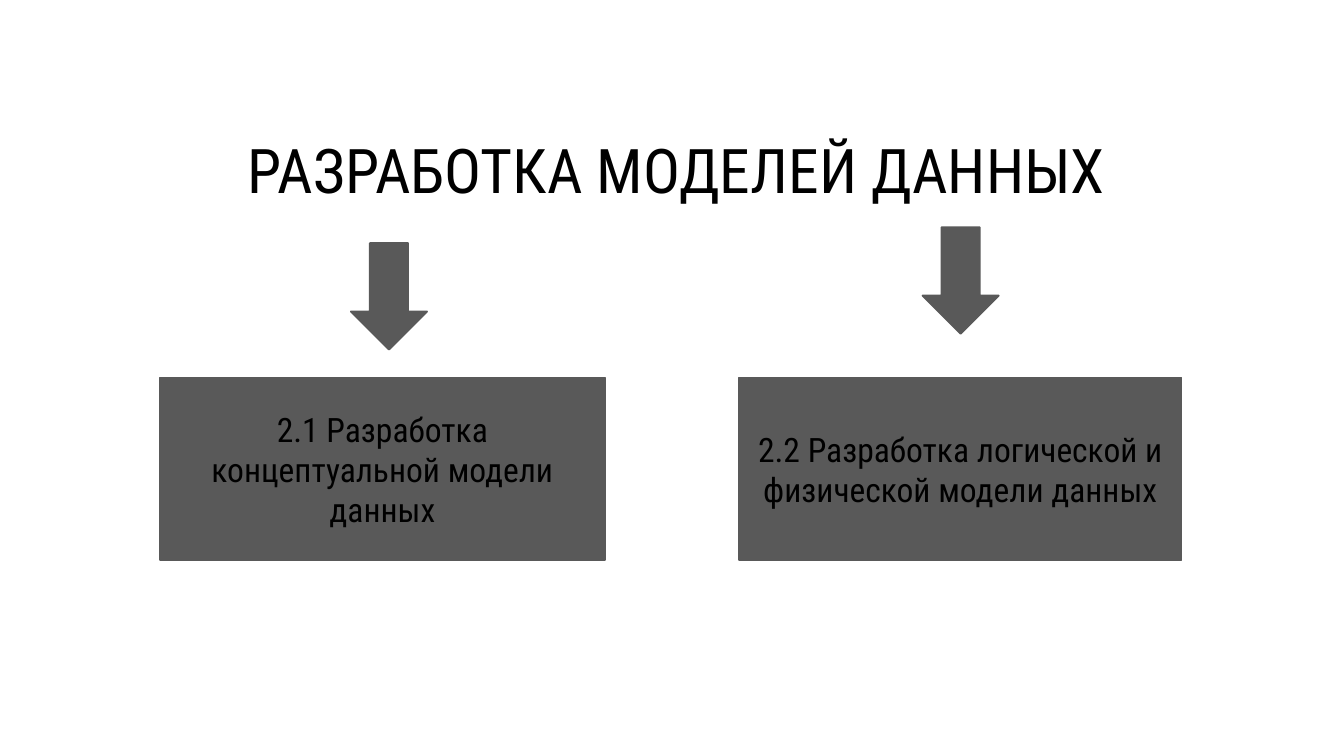
from pptx import Presentation
from pptx.dml.color import RGBColor
from pptx.enum import shapes, text
from pptx.util import Pt

COLORS = {"gray": "595959", "black": "000000"}
FONT = "Roboto Condensed"


def format_run(run, size, font=FONT):
    run.font.size = Pt(size)
    run.font.name = font
    run.font.color.rgb = RGBColor.from_string(COLORS["black"])


def add_gray_shape(kind, left, top, width, height):
    shape = slide.shapes.add_shape(kind, Pt(left), Pt(top), Pt(width), Pt(height))
    shape.shadow.inherit = False
    shape.fill.solid()
    shape.fill.fore_color.rgb = RGBColor.from_string(COLORS["gray"])
    shape.line.color.rgb = RGBColor.from_string(COLORS["gray"])
    shape.line.width = Pt(2)
    return shape


presentation = Presentation()
presentation.slide_width = Pt(1440)
presentation.slide_height = Pt(810)
slide = presentation.slides.add_slide(presentation.slide_layouts[6])

# Title
title = slide.shapes.add_textbox(Pt(-1.5), Pt(134.5), Pt(1443), Pt(90))
title.text_frame.word_wrap = True
title.text_frame.margin_top = title.text_frame.margin_bottom = Pt(7.2)
paragraph = title.text_frame.paragraphs[0]
paragraph.alignment = text.PP_ALIGN.CENTER
for words, size, font in [(" ", 44, "Calibri"), ("РАЗРАБОТКА МОДЕЛЕЙ ДАННЫX", 66, FONT)]:
    run = paragraph.add_run()
    run.text = words
    format_run(run, size, font)

# Stages: label, box left, box width
stages = [
    ("2.1 Разработка концептуальной модели данных", 171.5, 476.5),
    ("2.2 Разработка логической и физической модели данных", 792, 474),
]
for label, left, width in stages:
    box = add_gray_shape(shapes.MSO_SHAPE.RECTANGLE, left, 404.5, width, 196)
    box.text_frame.text = label
    box.text_frame.word_wrap = True
    box.text_frame.vertical_anchor = text.MSO_ANCHOR.MIDDLE
    paragraph = box.text_frame.paragraphs[0]
    paragraph.alignment = text.PP_ALIGN.CENTER
    format_run(paragraph.runs[0], 36)

# Arrows from the title to the stages
for left, top in [(376, 260.5), (988.5, 243.5)]:
    add_gray_shape(shapes.MSO_SHAPE.DOWN_ARROW, left, top, 81.5, 114)

presentation.save("out.pptx")
